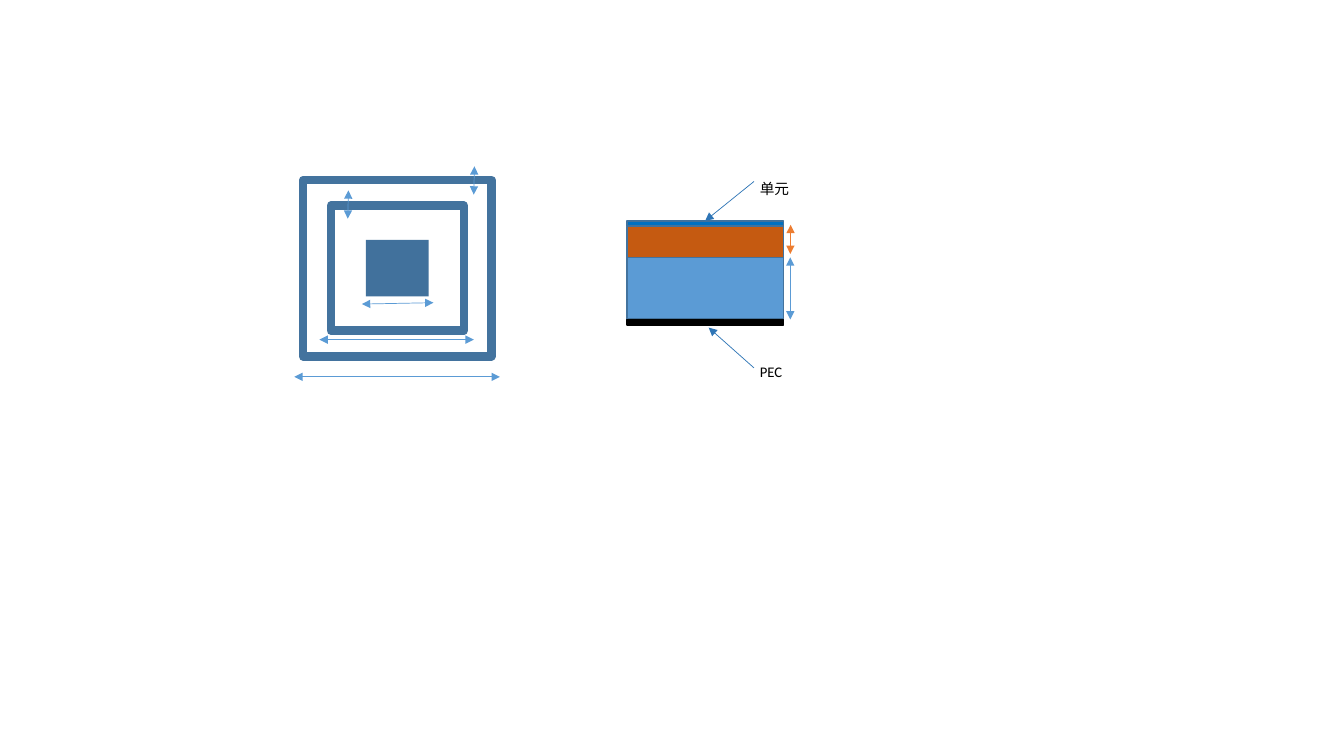
from dataclasses import dataclass
from typing import Optional

from lxml.etree import SubElement
from pptx import Presentation
from pptx.dml.color import RGBColor as Color
from pptx.enum.shapes import MSO_CONNECTOR as Connector, MSO_SHAPE as Shape
from pptx.oxml.ns import qn
from pptx.shapes.autoshape import Shape as AutoShape
from pptx.slide import Slide
from pptx.util import Pt


@dataclass(frozen=True)
class Theme:
    ring: str = "43739E"
    patch: str = "41719C"
    substrate: str = "5B9BD5"
    dielectric: str = "C55A11"
    ground: str = "000000"
    unit: str = "0070C0"
    thickness: str = "ED7D31"
    leader: str = "2E75B6"
    text: str = "000000"
    font: str = "Calibri"
    label_size: float = 10.5
    arrow_width: float = 0.5


THEME = Theme()


@dataclass(frozen=True)
class Box:
    left: float
    top: float
    width: float
    height: float
    fill: Optional[str] = None
    line: Optional[str] = None
    line_width: float = 1


@dataclass(frozen=True)
class Arrow:
    start: tuple[float, float]
    end: tuple[float, float]
    color: str = THEME.substrate
    both_ends: bool = True


@dataclass(frozen=True)
class Label:
    text: str
    top: float


def centred_box(width: float, height: float, fill: Optional[str] = None,
                line: Optional[str] = None) -> Box:
    center_x, center_y = 283.8, 191.6
    return Box(center_x - width / 2, center_y - height / 2, width, height, fill, line, 6)


def layer(top: float, height: float, fill: str, line: str) -> Box:
    return Box(447.8, top, 111.8, height, fill, line)


# Plan view: two rings around a solid patch
PLAN = [
    centred_box(95, 89.3, line=THEME.ring),
    centred_box(134.6, 126, line=THEME.ring),
    centred_box(44.8, 40.3, fill=THEME.patch),
]
PLAN_ARROWS = [
    Arrow((210.2, 269.2), (357.1, 269.2)),
    Arrow((228.2, 242.6), (338.4, 242.6)),
    Arrow((258.5, 217.2), (309.6, 216.2)),
    Arrow((338.9, 118.8), (338.4, 139)),
    Arrow((248.9, 136), (248.4, 156.2)),
]

# Side view: stacked layers, the unit on top
SUBSTRATE = layer(183.8, 44.2, THEME.substrate, THEME.ring)
DIELECTRIC = layer(162, 21.8, THEME.dielectric, THEME.ring)
GROUND = layer(228.4, 3.8, THEME.ground, THEME.ground)
UNIT = layer(157.8, 3.8, THEME.unit, THEME.patch)
SIDE_ARROWS = [
    Arrow((564.5, 183.8), (564.5, 228.2)),
    Arrow((564.8, 160.6), (564.5, 181.4), THEME.thickness),
]
UNIT_LEADER = Arrow((538.6, 129.6), (503.7, 157.8), THEME.leader, False)
GROUND_LEADER = Arrow((538.6, 262.8), (506.2, 234), THEME.leader, False)
LABELS = [Label("PEC", 255.6), Label("单元", 124.6)]


def draw_box(slide: Slide, box: Box) -> AutoShape:
    shape = slide.shapes.add_shape(Shape.RECTANGLE, Pt(box.left), Pt(box.top),
                                   Pt(box.width), Pt(box.height))
    shape.shadow.inherit = False
    if box.fill:
        shape.fill.solid()
        shape.fill.fore_color.rgb = Color.from_string(box.fill)
    else:
        shape.fill.background()
    if box.line:
        shape.line.color.rgb = Color.from_string(box.line)
        shape.line.width = Pt(box.line_width)
    else:
        shape.line.fill.background()
    return shape


def draw_arrow(slide: Slide, arrow: Arrow, target: Optional[AutoShape] = None) -> None:
    connector = slide.shapes.add_connector(Connector.STRAIGHT, *map(Pt, arrow.start + arrow.end))
    if target is not None:
        connector.end_connect(target, 0)
    connector.line.color.rgb = Color.from_string(arrow.color)
    connector.line.width = Pt(THEME.arrow_width)
    line = connector.line._get_or_add_ln()
    for tag in ("a:headEnd", "a:tailEnd") if arrow.both_ends else ("a:tailEnd",):
        SubElement(line, qn(tag), type="triangle")
    SubElement(connector._element.spPr, qn("a:effectLst"))


def draw_label(slide: Slide, label: Label) -> None:
    frame = slide.shapes.add_textbox(Pt(535.7), Pt(label.top), Pt(41), Pt(20.2)).text_frame
    frame.word_wrap = True
    paragraph = frame.paragraphs[0]
    paragraph.text = label.text
    paragraph.font.name = THEME.font
    paragraph.font.size = Pt(THEME.label_size)
    paragraph.font.color.rgb = Color.from_string(THEME.text)


def main() -> None:
    presentation = Presentation()
    presentation.slide_width, presentation.slide_height = Pt(960), Pt(540)
    slide = presentation.slides.add_slide(presentation.slide_layouts[6])

    # Plan view with its dimensions
    for box in PLAN:
        draw_box(slide, box)
    for arrow in PLAN_ARROWS:
        draw_arrow(slide, arrow)

    # Side view with its dimensions
    for box in (SUBSTRATE, DIELECTRIC, GROUND):
        draw_box(slide, box)
    unit = draw_box(slide, UNIT)
    for arrow in SIDE_ARROWS:
        draw_arrow(slide, arrow)

    # Labels and their leaders
    draw_arrow(slide, UNIT_LEADER, unit)
    for label in LABELS:
        draw_label(slide, label)
    draw_arrow(slide, GROUND_LEADER)

    presentation.save("out.pptx")


if __name__ == "__main__":
    main()
